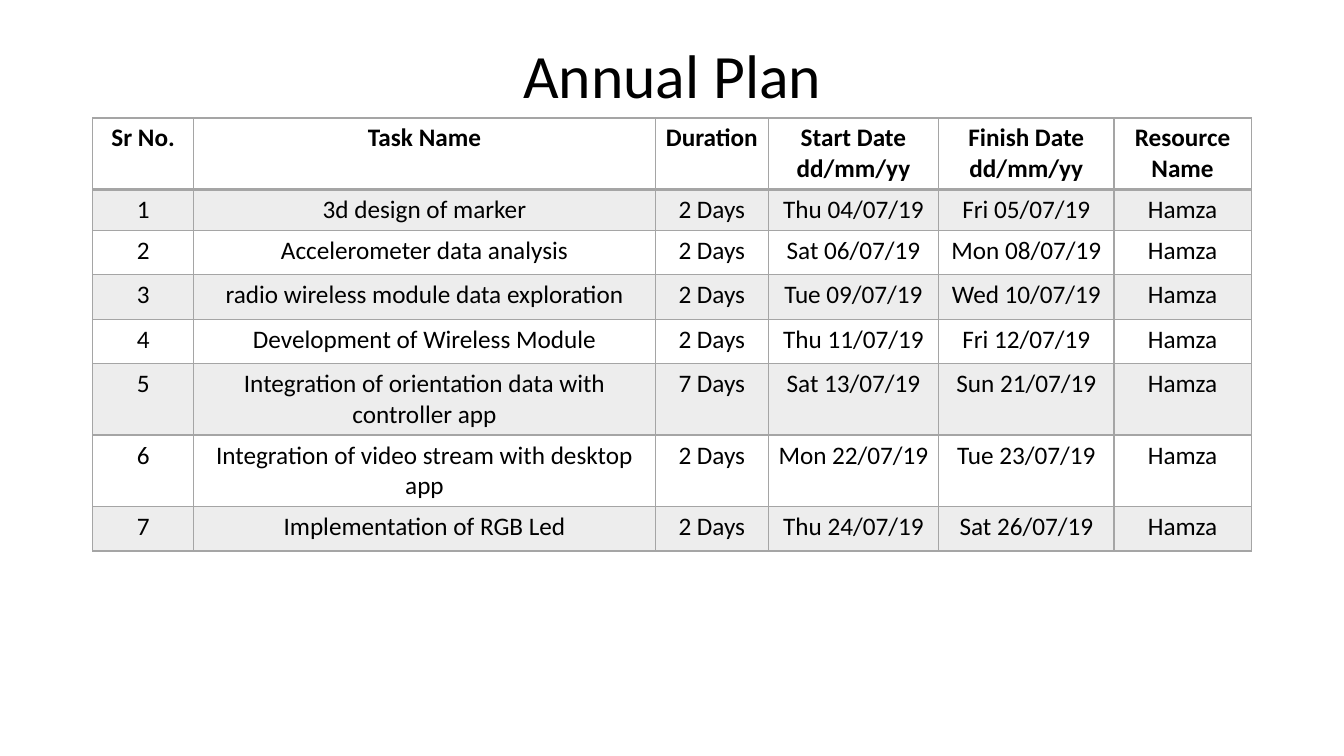
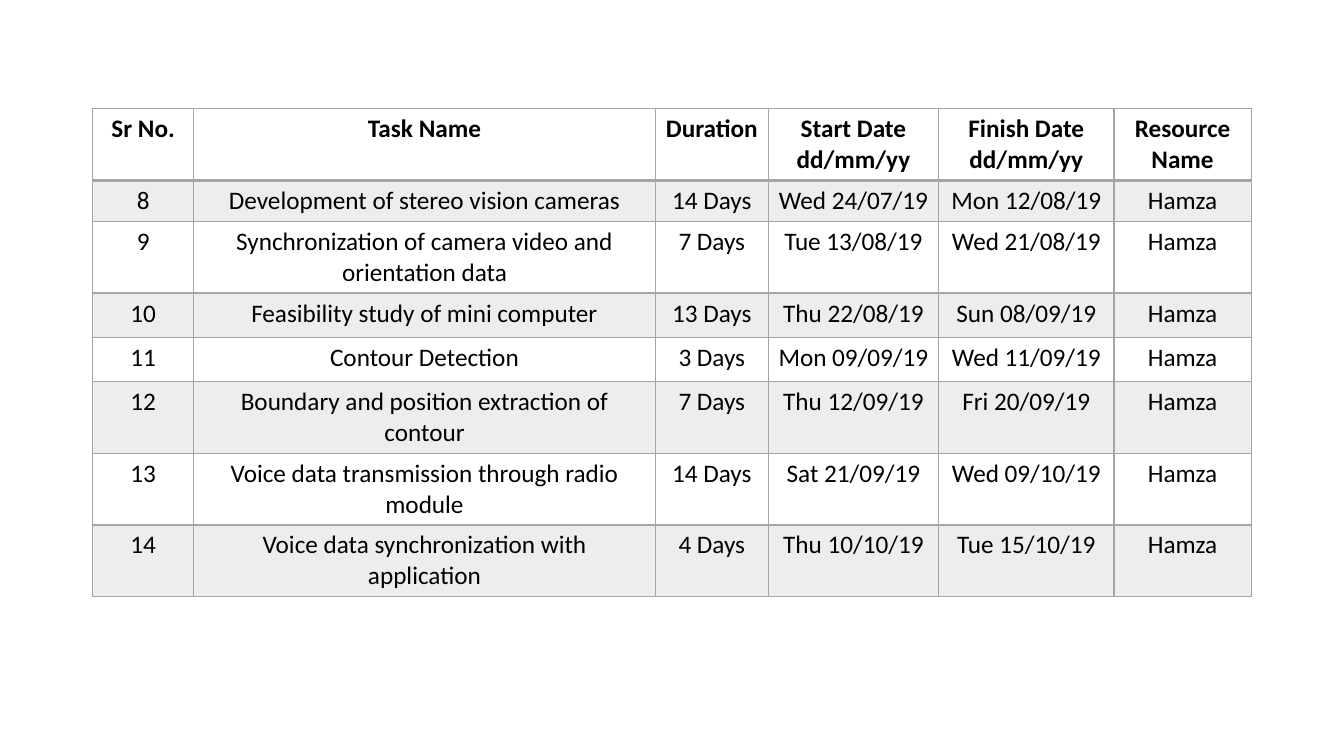
from dataclasses import dataclass

from lxml.etree import SubElement
from pptx import Presentation
from pptx.dml.color import RGBColor
from pptx.enum.text import MSO_ANCHOR, PP_ALIGN
from pptx.oxml.ns import qn
from pptx.util import Inches, Pt


@dataclass(frozen=True)
class Theme:
    font: str = "Calibri"
    text: str = "000000"
    grey: str = "A5A5A5"
    band_opacity: int = 20
    title_size: int = 44
    table_size: int = 18
    line_width: int = 1
    header_line_width: int = 2


TITLE_ONLY, BLANK = 5, 6
LEFT, WIDTH = 0.92, 11.5
COLUMN_WIDTHS = (1, 4.58, 1.12, 1.69, 1.74, 1.36)
FIRST_ROW, ONE_LINE, TWO_LINES = 0.4, 0.44, 0.71
TASK_LINE_LENGTH = 40  # characters that fit on one line of the task column

HEADERS = ("Sr No.", "Task Name", "Duration", "Start Date\vdd/mm/yy",
           "Finish Date\vdd/mm/yy", "Resource Name")
RESOURCE = "Hamza"

# Task, days, start date, finish date
SUMMER_TASKS = (
    ("3d design of marker", 2, "Thu 04/07/19", "Fri 05/07/19"),
    ("Accelerometer data analysis", 2, "Sat 06/07/19", "Mon 08/07/19"),
    ("radio wireless module data exploration", 2, "Tue 09/07/19", "Wed 10/07/19"),
    ("Development of Wireless Module", 2, "Thu 11/07/19", "Fri 12/07/19"),
    ("Integration of orientation data with controller app", 7, "Sat 13/07/19", "Sun 21/07/19"),
    ("Integration of video stream with desktop app", 2, "Mon 22/07/19", "Tue 23/07/19"),
    ("Implementation of RGB Led", 2, "Thu 24/07/19", "Sat 26/07/19"),
)
AUTUMN_TASKS = (
    ("Development of stereo vision cameras", 14, "Wed 24/07/19", "Mon 12/08/19"),
    ("Synchronization of camera video and orientation data", 7, "Tue 13/08/19", "Wed 21/08/19"),
    ("Feasibility study of mini computer", 13, "Thu 22/08/19", "Sun 08/09/19"),
    ("Contour Detection", 3, "Mon 09/09/19", "Wed 11/09/19"),
    ("Boundary and position extraction of contour", 7, "Thu 12/09/19", "Fri 20/09/19"),
    ("Voice data transmission through radio module", 14, "Sat 21/09/19", "Wed 09/10/19"),
    ("Voice data synchronization with application", 4, "Thu 10/10/19", "Tue 15/10/19"),
)


class PlanDeck:
    def __init__(self, theme):
        self.theme = theme
        self.presentation = Presentation()
        self.presentation.slide_width = Inches(13.33)
        self.presentation.slide_height = Inches(7.5)
        self.slide = None

    def add_slide(self, layout):
        self.slide = self.presentation.slides.add_slide(
            self.presentation.slide_layouts[layout])

    def format_paragraph(self, paragraph, size, bold=False):
        paragraph.alignment = PP_ALIGN.CENTER
        paragraph.font.name = self.theme.font
        paragraph.font.size = Pt(size)
        paragraph.font.bold = bold
        paragraph.font.color.rgb = RGBColor.from_string(self.theme.text)

    def add_title(self, text):
        title = self.slide.shapes.title
        title.left, title.top = Inches(LEFT), Inches(0.17)
        title.width, title.height = Inches(WIDTH), Inches(1.22)
        title.text_frame.text = text
        title.text_frame.vertical_anchor = MSO_ANCHOR.MIDDLE
        paragraph = title.text_frame.paragraphs[0]
        paragraph.line_spacing = 0.9
        self.format_paragraph(paragraph, self.theme.title_size)

    def add_border(self, cell, side, width):
        line = SubElement(cell._tc.get_or_add_tcPr(), qn(f"a:ln{side}"), w=str(Pt(width)))
        fill = SubElement(line, qn("a:solidFill"))
        SubElement(fill, qn("a:srgbClr"), val=self.theme.grey)

    def format_cell(self, cell, text, row):
        theme = self.theme
        cell.text = text
        self.format_paragraph(cell.text_frame.paragraphs[0], theme.table_size, bold=row == 0)
        # Borders come before the fill in the cell properties
        for side in "LRTB":
            under_header = (row, side) in ((0, "B"), (1, "T"))
            self.add_border(cell, side,
                            theme.header_line_width if under_header else theme.line_width)
        if row % 2:
            cell.fill.solid()
            cell.fill.fore_color.rgb = RGBColor.from_string(theme.grey)
            color = cell._tc.tcPr.find(qn("a:solidFill")).find(qn("a:srgbClr"))
            SubElement(color, qn("a:alpha"), val=str(theme.band_opacity * 1000))
        else:
            cell.fill.background()

    def add_plan(self, top, first_number, tasks):
        rows = [HEADERS] + [
            (str(number), task, f"{days} Days", start, finish, RESOURCE)
            for number, (task, days, start, finish) in enumerate(tasks, first_number)]
        heights = [TWO_LINES, FIRST_ROW] + [
            TWO_LINES if len(task[0]) > TASK_LINE_LENGTH else ONE_LINE for task in tasks[1:]]
        table = self.slide.shapes.add_table(
            len(rows), len(HEADERS), Inches(LEFT), Inches(top),
            Inches(WIDTH), Inches(sum(heights))).table
        table.first_row = table.horz_banding = False
        for column, width in zip(table.columns, COLUMN_WIDTHS):
            column.width = Inches(width)
        for index, (texts, height) in enumerate(zip(rows, heights)):
            table.rows[index].height = Inches(height)
            for cell, text in zip(table.rows[index].cells, texts):
                self.format_cell(cell, text, index)


def main():
    deck = PlanDeck(Theme())

    # First half of the plan
    deck.add_slide(TITLE_ONLY)
    deck.add_title("Annual Plan")
    deck.add_plan(1.17, 1, SUMMER_TASKS)

    # Second half of the plan
    deck.add_slide(BLANK)
    deck.add_plan(1.08, len(SUMMER_TASKS) + 1, AUTUMN_TASKS)

    deck.presentation.save("out.pptx")


if __name__ == "__main__":
    main()
